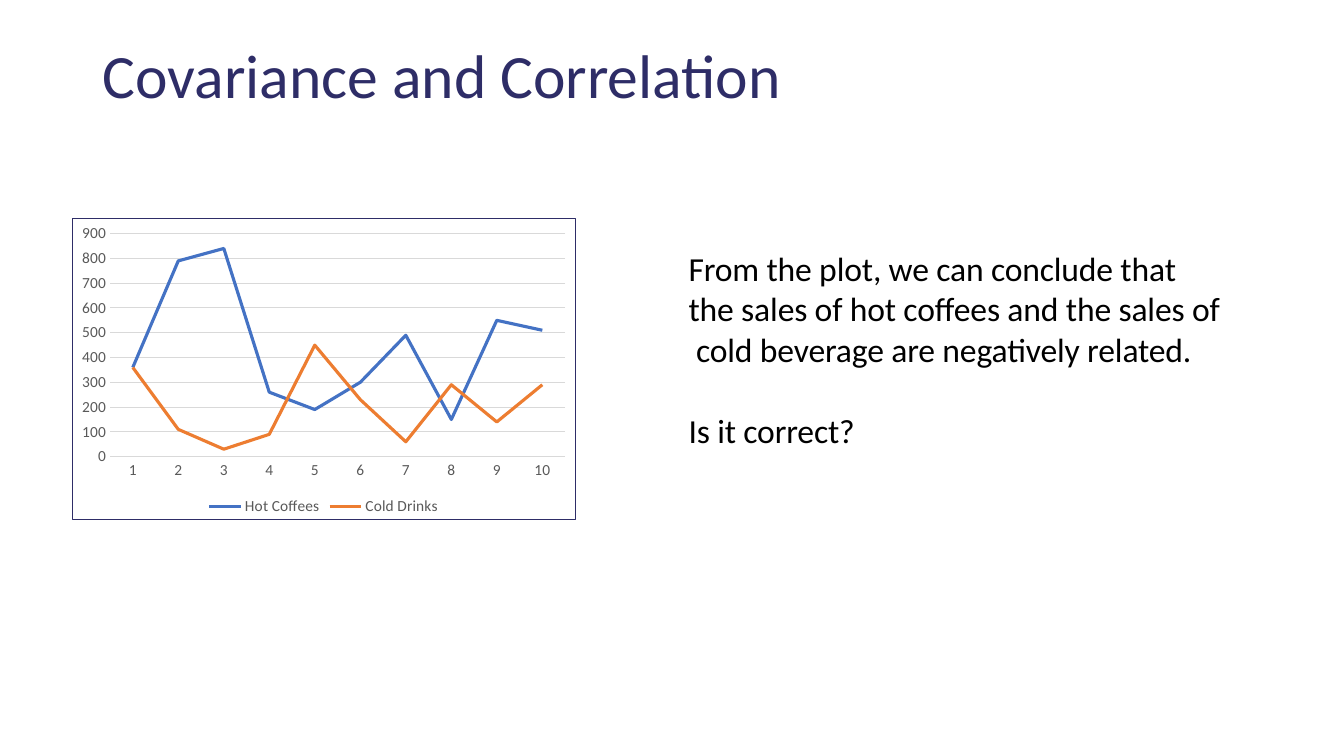
from pptx import Presentation
from pptx.chart.data import CategoryChartData as ChartData
from pptx.dml.color import RGBColor as RGB
from pptx.enum.chart import XL_CHART_TYPE as Kind, XL_LEGEND_POSITION as Side, XL_TICK_MARK as Tick
from pptx.enum.text import MSO_ANCHOR as Anchor, MSO_AUTO_SIZE as Auto, PP_ALIGN as Align
from pptx.oxml import parse_xml
from pptx.oxml.ns import nsdecls, qn
from pptx.util import Inches, Pt

FONT = "Calibri"
HUES = {"navy": "2E2D67", "black": "000000", "label": "595959", "grid": "D9D9D9",
        "blue": "4472C4", "orange": "ED7D31", "white": "FFFFFF"}
TITLE = "Covariance and Correlation"
BODY = [
    ["From the plot, we can conclude that",
     "the sales of hot coffees and the sales of",
     " cold beverage are negatively related."],
    ["Is it correct?"],
]
SALES = [
    ("Hot Coffees", "blue", (360, 790, 840, 260, 190, 300, 490, 150, 550, 510)),
    ("Cold Drinks", "orange", (360, 110, 30, 90, 450, 230, 60, 290, 140, 290)),
]
TITLE_BOX = (0.92, 0.4, 11.5, 0.9)
BODY_BOX = (6.83, 2.44, 5.4, 2.03)
CHART_BOX = (0.71, 2.16, 5, 3)


def rgb(name):
    return RGB.from_string(HUES[name])


def style(font, size, hue):
    font.name, font.size = FONT, Pt(size)
    font.color.rgb = rgb(hue)


def stroke(line, hue, width):
    line.color.rgb = rgb(hue)
    line.width = Pt(width)


def add_title(slide):
    title = slide.shapes.title
    title.left, title.top, title.width, title.height = map(Inches, TITLE_BOX)
    frame = title.text_frame
    frame.auto_size, frame.vertical_anchor = Auto.NONE, Anchor.TOP
    para = frame.paragraphs[0]
    para.alignment, para.line_spacing = Align.LEFT, 0.9
    run = para.add_run()
    run.text = TITLE
    style(run.font, 44, "navy")


def add_body(slide):
    frame = slide.shapes.add_textbox(*map(Inches, BODY_BOX)).text_frame
    frame.word_wrap = True
    frame.margin_left = frame.margin_right = frame.margin_bottom = 0
    frame.margin_top = Inches(0.02)
    for i, lines in enumerate(BODY):
        para = frame.add_paragraph() if i else frame.paragraphs[0]
        if i:
            para.space_before = Pt(29)
        for j, line in enumerate(lines):
            if j:
                para.add_line_break()
            run = para.add_run()
            run.text = line
            style(run.font, 24, "black")
            run.font._element.set("spc", "-10")


def add_border(chart, hue, width):
    """Fill the chart area white and outline it."""
    area = parse_xml(
        f'<c:spPr {nsdecls("c", "a")}>'
        f'<a:solidFill><a:srgbClr val="{HUES["white"]}"/></a:solidFill>'
        f'<a:ln w="{Pt(width)}"><a:solidFill><a:srgbClr val="{HUES[hue]}"/></a:solidFill></a:ln>'
        '</c:spPr>')
    chart._chartSpace.find(qn("c:chart")).addnext(area)


def add_sales(slide):
    data = ChartData()
    data.categories = [str(n + 1) for n in range(len(SALES[0][2]))]
    for name, _, vals in SALES:
        data.add_series(name, vals)
    chart = slide.shapes.add_chart(Kind.LINE, *map(Inches, CHART_BOX), data).chart
    style(chart.font, 11, "black")
    chart.has_title = False
    chart.has_legend = True
    chart.legend.position = Side.BOTTOM
    chart.legend.include_in_layout = False
    style(chart.legend.font, 11, "label")
    chart.plots[0].vary_by_categories = False
    for line, (_, hue, _) in zip(chart.plots[0].series, SALES):
        line.smooth = False
        stroke(line.format.line, hue, 2.25)
    cats, vals = chart.category_axis, chart.value_axis
    for axis in (cats, vals):
        axis.major_tick_mark = axis.minor_tick_mark = Tick.NONE
        style(axis.tick_labels.font, 11, "label")
    stroke(cats.format.line, "grid", 0.75)
    vals.format.line.fill.background()
    vals.minimum_scale, vals.maximum_scale, vals.major_unit = 0, 900, 100
    vals.has_major_gridlines = True
    stroke(vals.major_gridlines.format.line, "grid", 0.75)
    add_border(chart, "navy", 0.75)


def main():
    deck = Presentation()
    deck.slide_width, deck.slide_height = Inches(13.33), Inches(7.5)
    slide = deck.slides.add_slide(deck.slide_layouts[5])
    add_body(slide)
    add_sales(slide)
    add_title(slide)
    deck.save("out.pptx")


if __name__ == "__main__":
    main()
